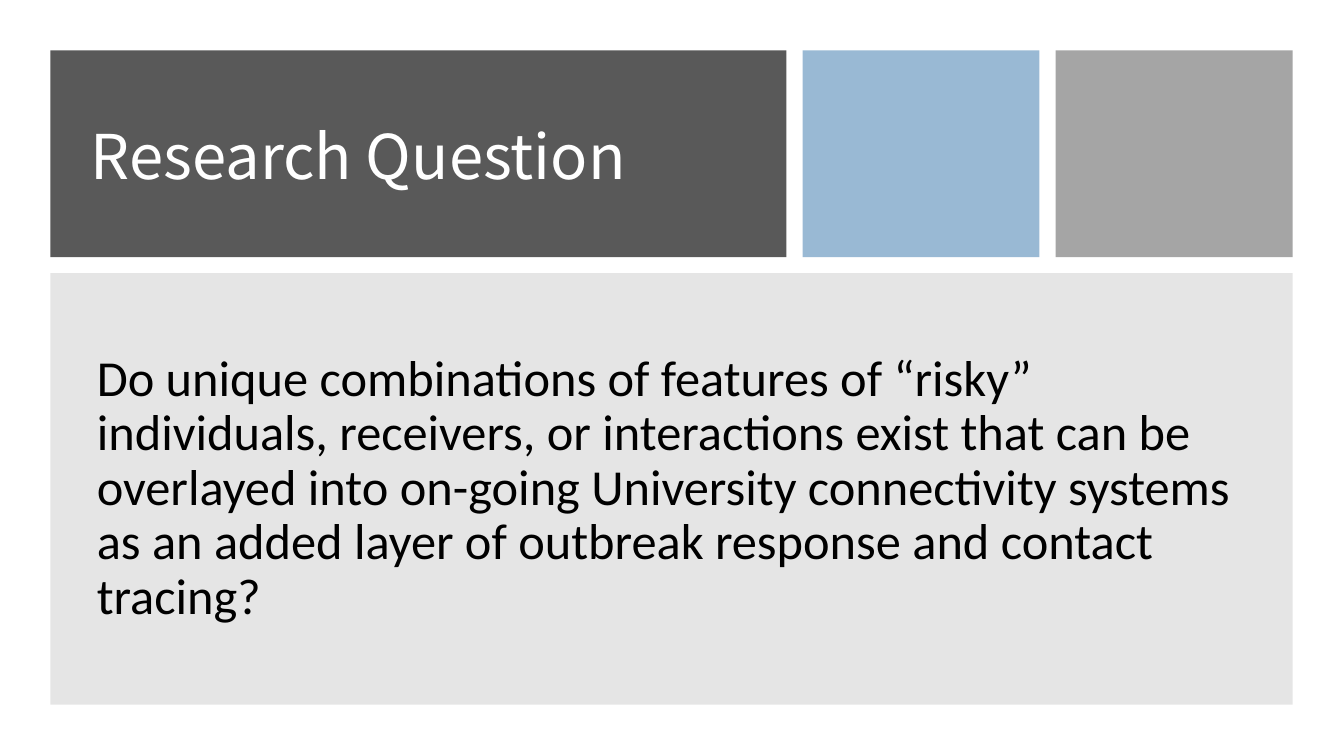
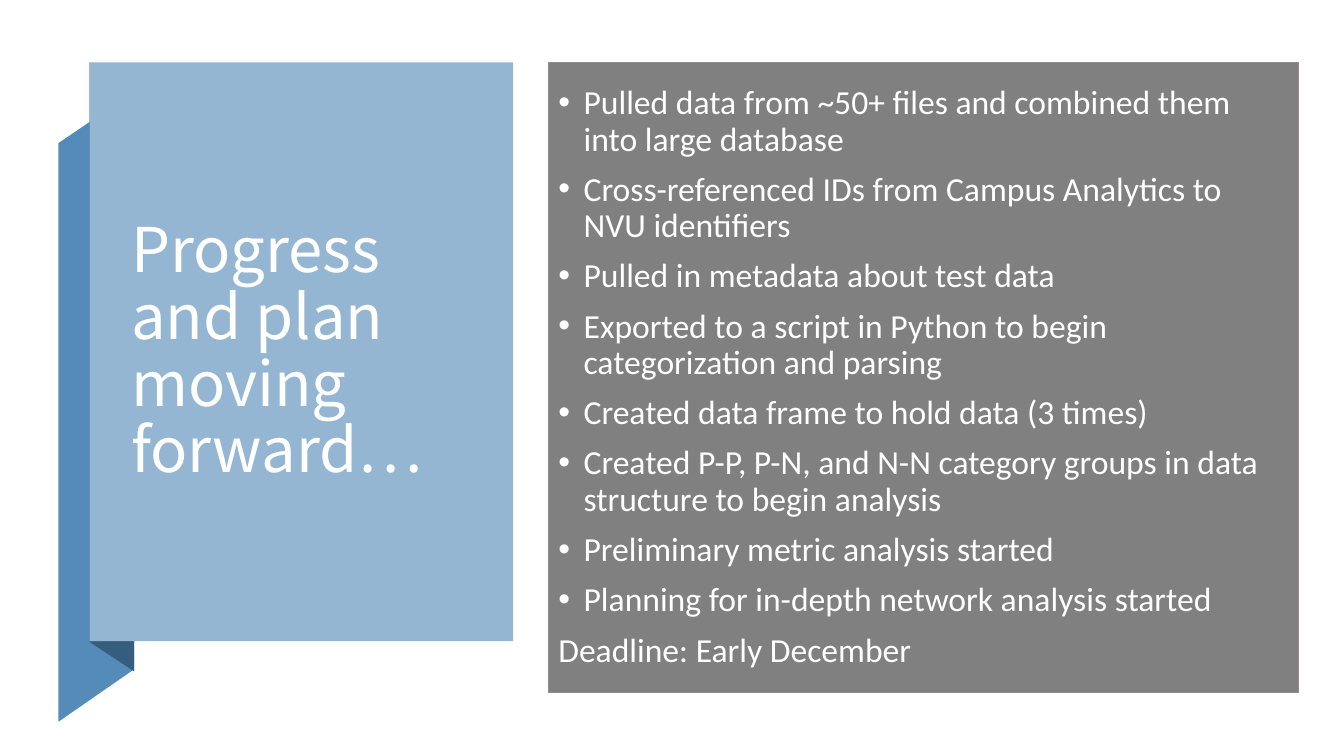
"""Build two slides: the research question and the progress plan."""

from dataclasses import dataclass

from lxml.etree import SubElement
from pptx import Presentation
from pptx.dml.color import RGBColor
from pptx.enum.shapes import MSO_SHAPE
from pptx.enum.text import MSO_ANCHOR, MSO_AUTO_SIZE, PP_ALIGN
from pptx.oxml.ns import qn
from pptx.presentation import Presentation as Deck
from pptx.shapes.base import BaseShape
from pptx.shapes.shapetree import GroupShapes
from pptx.slide import Slide
from pptx.text.text import TextFrame
from pptx.util import Inches, Pt

TITLE_FONT = "Noto Sans CJK SC"
BODY_FONT = "Calibri"
WHITE = "FFFFFF"
BLACK = "000000"
CHARCOAL = "595959"
GRAY = "808080"
SILVER = "A5A5A5"
PANEL_EDGE = "968C8C"
SKY = "94B6D2"
STEEL = "558BB8"
NAVY = "355D7E"

TITLE_ONLY = 5
MARGIN = 0.5
GAP = 0.16
HEADER_HEIGHT = 2.05
QUESTION_WIDTH = 12.32
BULLET_INDENT = 0.25

QUESTION = (
    "Do unique combinations of features of “risky” individuals, receivers, "
    "or interactions exist that can be overlayed into on-going University "
    "connectivity systems as an added layer of outbreak response and contact tracing?"
)
PROGRESS = (
    "Pulled data from ~50+ files and combined them into large database",
    "Cross-referenced IDs from Campus Analytics to NVU identifiers",
    "Pulled in metadata about test data",
    "Exported to a script in Python to begin categorization and parsing",
    "Created data frame to hold data (3 times)",
    "Created P-P, P-N, and N-N category groups in data structure to begin analysis",
    "Preliminary metric analysis started",
    "Planning for in-depth network analysis started",
)
DEADLINE = "Deadline: Early December"


@dataclass(frozen=True)
class Box:
    """A rectangle in inches."""

    left: float
    top: float
    width: float
    height: float

    def lengths(self) -> tuple[Inches, Inches, Inches, Inches]:
        """Return the four values as lengths."""
        return Inches(self.left), Inches(self.top), Inches(self.width), Inches(self.height)


@dataclass(frozen=True)
class Band:
    """A filled block of the header row."""

    width: float
    color: str
    opacity: int = 100


@dataclass(frozen=True)
class Fold:
    """A polygon of the ribbon behind the title."""

    color: str
    corners: tuple[tuple[float, float], ...]


@dataclass(frozen=True)
class TextStyle:
    """The look of a run and the space before its paragraph."""

    font: str
    size: int
    color: str
    space_before: int = 0


TITLE_STYLE = TextStyle(TITLE_FONT, 44, WHITE)
QUESTION_STYLE = TextStyle(BODY_FONT, 36, BLACK, 10)
PROGRESS_STYLE = TextStyle(BODY_FONT, 24, WHITE, 10)

HEADER_BANDS = (Band(7.3, CHARCOAL), Band(2.35, SKY, 95), Band(2.35, SILVER))
RIBBON_FOLDS = (
    Fold(STEEL, ((0.58, 7.16), (1.33, 6.64), (1.33, 0.91), (0.58, 1.42))),
    Fold(NAVY, ((0.89, 6.37), (1.33, 6.66), (1.33, 0.9), (0.89, 0.62))),
)


def rgb(color: str) -> RGBColor:
    """Turn a hex string into a colour."""
    return RGBColor.from_string(color)


def paint(shape: BaseShape, color: str, opacity: int = 100) -> None:
    """Give a shape a flat fill without line or shadow."""
    shape.shadow.inherit = False
    shape.fill.solid()
    shape.fill.fore_color.rgb = rgb(color)
    shape.line.fill.background()
    if opacity < 100:
        fill_color = next(shape.element.iter(qn("a:srgbClr")))
        SubElement(fill_color, qn("a:alpha"), val=str(opacity * 1000))


def add_block(shapes: GroupShapes, box: Box, color: str, opacity: int = 100) -> BaseShape:
    """Add a plain rectangle."""
    block = shapes.add_shape(MSO_SHAPE.RECTANGLE, *box.lengths())
    paint(block, color, opacity)
    return block


def write(frame: TextFrame, lines: tuple[str, ...], style: TextStyle, bulleted: int = 0) -> None:
    """Write one paragraph a line, with bullets on the first ones."""
    frame.word_wrap = True
    frame.auto_size = MSO_AUTO_SIZE.NONE
    frame.vertical_anchor = MSO_ANCHOR.MIDDLE
    for index, line in enumerate(lines):
        paragraph = frame.add_paragraph() if index else frame.paragraphs[0]
        paragraph.alignment = PP_ALIGN.LEFT
        paragraph.line_spacing = 0.9
        paragraph.space_before = Pt(style.space_before)
        run = paragraph.add_run()
        run.text = line
        run.font.name = style.font
        run.font.size = Pt(style.size)
        run.font.color.rgb = rgb(style.color)
        if index < bulleted:
            properties = paragraph._p.get_or_add_pPr()
            properties.set("marL", str(Inches(BULLET_INDENT)))
            properties.set("indent", str(-Inches(BULLET_INDENT)))
            SubElement(properties, qn("a:buFont"), typeface="Arial")
            SubElement(properties, qn("a:buChar"), char="•")


def add_slide(deck: Deck) -> Slide:
    """Add a title-only slide."""
    return deck.slides.add_slide(deck.slide_layouts[TITLE_ONLY])


def place_title(slide: Slide, text: str, box: Box) -> None:
    """Format the title and bring it in front of the blocks drawn so far."""
    title = slide.shapes.title
    title.left, title.top, title.width, title.height = box.lengths()
    write(title.text_frame, (text,), TITLE_STYLE)
    slide.shapes.element.append(title.element)


def build_question(deck: Deck) -> None:
    """Build the research question slide."""
    slide = add_slide(deck)
    left = MARGIN
    for band in HEADER_BANDS:
        add_block(slide.shapes, Box(left, MARGIN, band.width, HEADER_HEIGHT), band.color, band.opacity)
        left += band.width + GAP
    place_title(slide, "Research Question", Box(0.8, 0.8, 6.66, 1.56))

    panel_top = MARGIN + HEADER_HEIGHT + GAP
    panel = add_block(slide.shapes, Box(MARGIN, panel_top, QUESTION_WIDTH, 4.28), GRAY, 20)
    frame = panel.text_frame
    frame.margin_left = frame.margin_right = Inches(0.46)
    write(frame, (QUESTION,), QUESTION_STYLE)


def build_progress(deck: Deck) -> None:
    """Build the progress slide with its folded ribbon."""
    slide = add_slide(deck)
    ribbon = slide.shapes.add_group_shape().shapes
    for fold in RIBBON_FOLDS:
        start, *others = [(Inches(x), Inches(y)) for x, y in fold.corners]
        outline = ribbon.build_freeform(*start)
        outline.add_line_segments(others)
        paint(outline.convert_to_shape(), fold.color)
    add_block(ribbon, Box(0.89, 0.62, 4.2, 5.74), SKY)
    place_title(slide, "Progress and plan moving forward…", Box(1.2, 0.97, 3.53, 5.06))

    panel = add_block(slide.shapes, Box(5.44, 0.62, 7.44, 6.25), GRAY)
    panel.line.color.rgb = rgb(PANEL_EDGE)
    panel.line.width = Pt(1)
    write(panel.text_frame, (*PROGRESS, DEADLINE), PROGRESS_STYLE, len(PROGRESS))


def main() -> None:
    """Build and save the presentation."""
    deck = Presentation()
    deck.slide_width = Inches(13.33)
    deck.slide_height = Inches(7.5)
    build_question(deck)
    build_progress(deck)
    deck.save("out.pptx")


if __name__ == "__main__":
    main()
